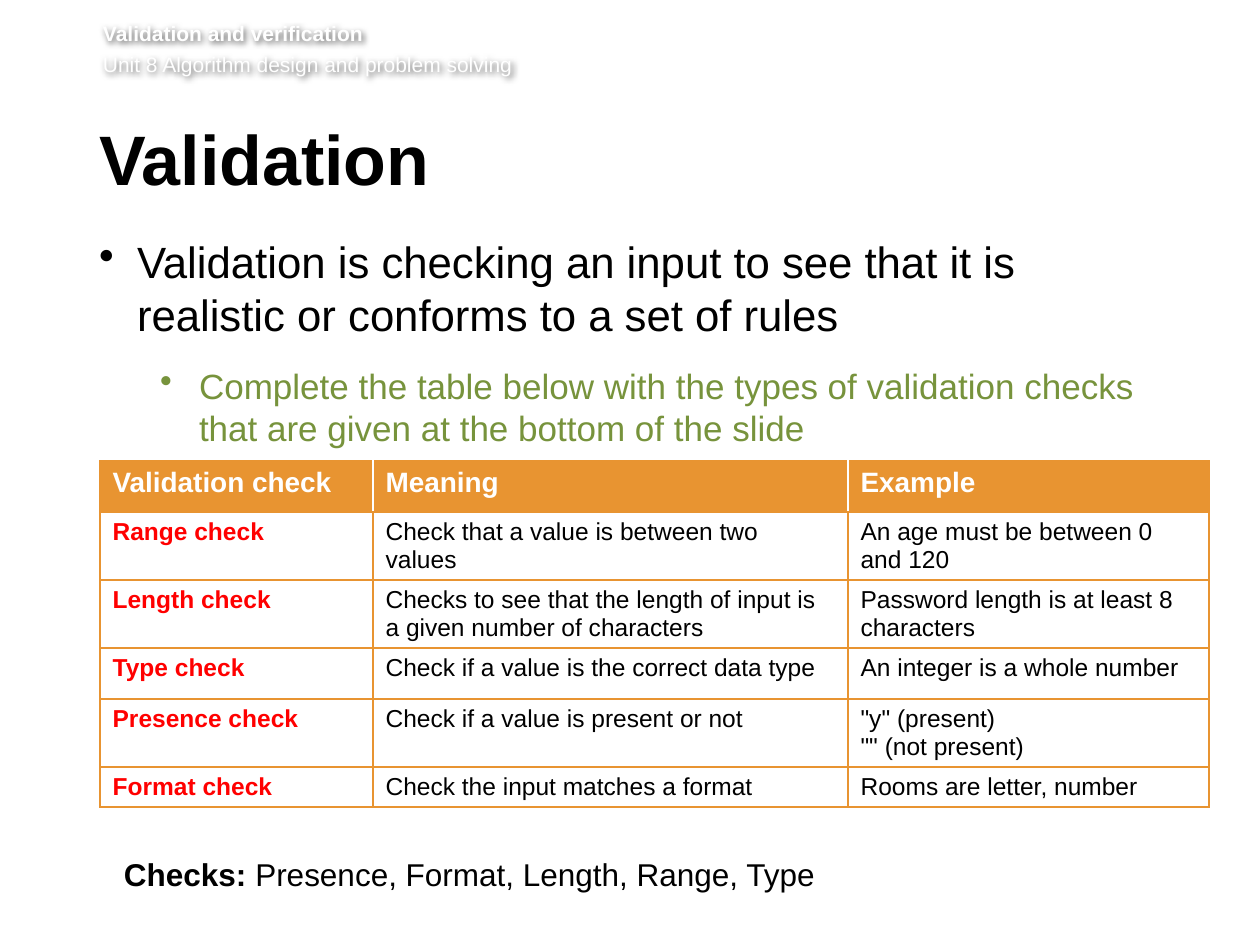
from lxml import etree
from pptx import Presentation
from pptx import util as u
from pptx.dml.color import RGBColor
from pptx.enum import text
from pptx.oxml import parse_xml
from pptx.oxml.ns import qn

PX = u.Inches(1) / 126
BLACK = RGBColor(0x00, 0x00, 0x00)
WHITE = RGBColor(0xFF, 0xFF, 0xFF)
RED = RGBColor(0xFF, 0x00, 0x00)
GREEN = RGBColor(0x77, 0x93, 0x3C)
ORANGE = RGBColor(0xE8, 0x94, 0x31)
DRAWING = "http://schemas.openxmlformats.org/drawingml/2006/main"


def write(para, content, size, color=BLACK, bold=False, before=0, after=0,
          line=None, bullet_at=None, hang=38):
    """Append text to a paragraph; bullet_at is the bullet's left edge in px."""
    if bullet_at is not None:
        props = para._p.get_or_add_pPr()
        props.set("marL", str(round((bullet_at + hang) * PX)))
        props.set("indent", str(round(-hang * PX)))
        etree.SubElement(props, qn("a:buChar")).set("char", "•")
    para.space_before, para.space_after = u.Pt(before), u.Pt(after)
    if line:
        para.line_spacing = u.Pt(line)
    for number, part in enumerate(content.split("\n")):
        if number:
            para.add_line_break()
        span = para.add_run()
        span.text = part
        span.font.name, span.font.size = "Arial", u.Pt(size)
        span.font.bold, span.font.color.rgb = bold, color


def add_box(left, top, width, height, insets):
    box = page.shapes.add_textbox(*(round(n * PX) for n in (left, top, width, height)))
    frame = box.text_frame
    frame.word_wrap = True
    frame.auto_size = text.MSO_AUTO_SIZE.NONE
    (frame.margin_left, frame.margin_top,
     frame.margin_right, frame.margin_bottom) = (round(n * PX) for n in insets)
    return box


deck = Presentation()
deck.slide_width, deck.slide_height = u.Inches(10), u.Inches(7.5)
page = deck.slides.add_slide(deck.slide_layouts[6])

# Running header with a soft shadow behind white text
header = add_box(103, 21, 1111, 62, (0, 0, 0, 6))
header.fill.background()
header._element.spPr.append(parse_xml(
    f'<a:effectLst xmlns:a="{DRAWING}"><a:outerShdw blurRad="50800" dist="12700" '
    'dir="2700000" algn="tl" rotWithShape="0"><a:srgbClr val="000000">'
    '<a:alpha val="60000"/></a:srgbClr></a:outerShdw></a:effectLst>'))
frame = header.text_frame
write(frame.paragraphs[0], "Validation and verification", 12, WHITE, bold=True, before=2.9)
write(frame.add_paragraph(), "Unit 8 Algorithm design and problem solving", 12, WHITE,
      before=2.9)

# Title and bullets
title = add_box(99, 125, 1077, 92, (0, 6, 13, 6))
write(title.text_frame.paragraphs[0], "Validation", 40, bold=True, line=39, after=15)

body = add_box(99, 235, 1075, 476, (0, 0, 13, 6)).text_frame
write(body.paragraphs[0],
      "Validation is checking an input to see that it is realistic or conforms to a set of rules",
      25, after=14, bullet_at=0)
task = body.add_paragraph()
task.level = 1
write(task,
      "Complete the table below with the types of validation checks "
      "that are given at the bottom of the slide",
      20, GREEN, after=12, bullet_at=61, hang=39)

# Table of checks
rows = [
    ("Validation check", "Meaning", "Example"),
    ("Range check", "Check that a value is between two values",
     "An age must be between 0 and 120"),
    ("Length check", "Checks to see that the length of input is a given number of characters",
     "Password length is at least 8 characters"),
    ("Type check", "Check if a value is the correct data type", "An integer is a whole number"),
    ("Presence check", "Check if a value is present or not", '"y" (present)\n"" (not present)'),
    ("Format check", "Check the input matches a format", "Rooms are letter, number"),
]
widths = [273, 475, 361]
heights = [51, 68, 68, 51, 68, 40]
table = page.shapes.add_table(
    len(rows), len(widths), round(100 * PX), round(461 * PX),
    round(sum(widths) * PX), round(sum(heights) * PX)).table
for column, width in zip(table.columns, widths):
    column.width = round(width * PX)
for row, height in zip(table.rows, heights):
    row.height = round(height * PX)

for r, row in enumerate(rows):
    for c, content in enumerate(row):
        cell = table.cell(r, c)
        para = cell.text_frame.paragraphs[0]
        props = cell._tc.get_or_add_tcPr()
        for side in "LRTB":
            inner = (side == "L" and c > 0) or (side == "R" and c < len(widths) - 1)
            color = WHITE if r == 0 and inner else ORANGE
            props.append(parse_xml(
                f'<a:ln{side} xmlns:a="{DRAWING}" w="12700"><a:solidFill>'
                f'<a:srgbClr val="{color}"/></a:solidFill></a:ln{side}>'))
        if r == 0:
            cell.fill.solid()
            cell.fill.fore_color.rgb = ORANGE
            write(para, content, 16, WHITE, bold=True)
        else:
            cell.fill.background()
            write(para, content, 14, RED if c == 0 else BLACK, bold=c == 0)

# Word bank
checks = add_box(111, 849, 782, 50, (13, 6, 13, 6)).text_frame.paragraphs[0]
write(checks, "Checks: ", 18, bold=True)
write(checks, "Presence, Format, Length, Range, Type", 18)

deck.save("out.pptx")
